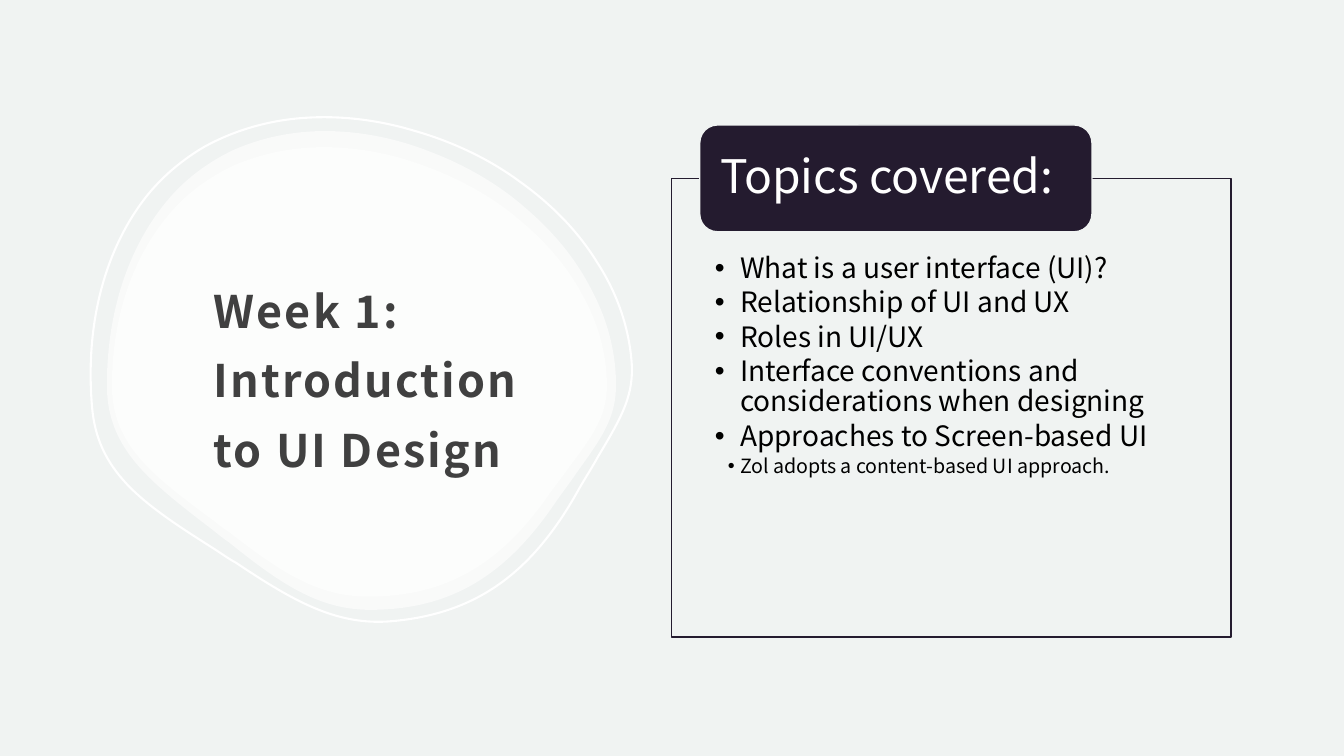
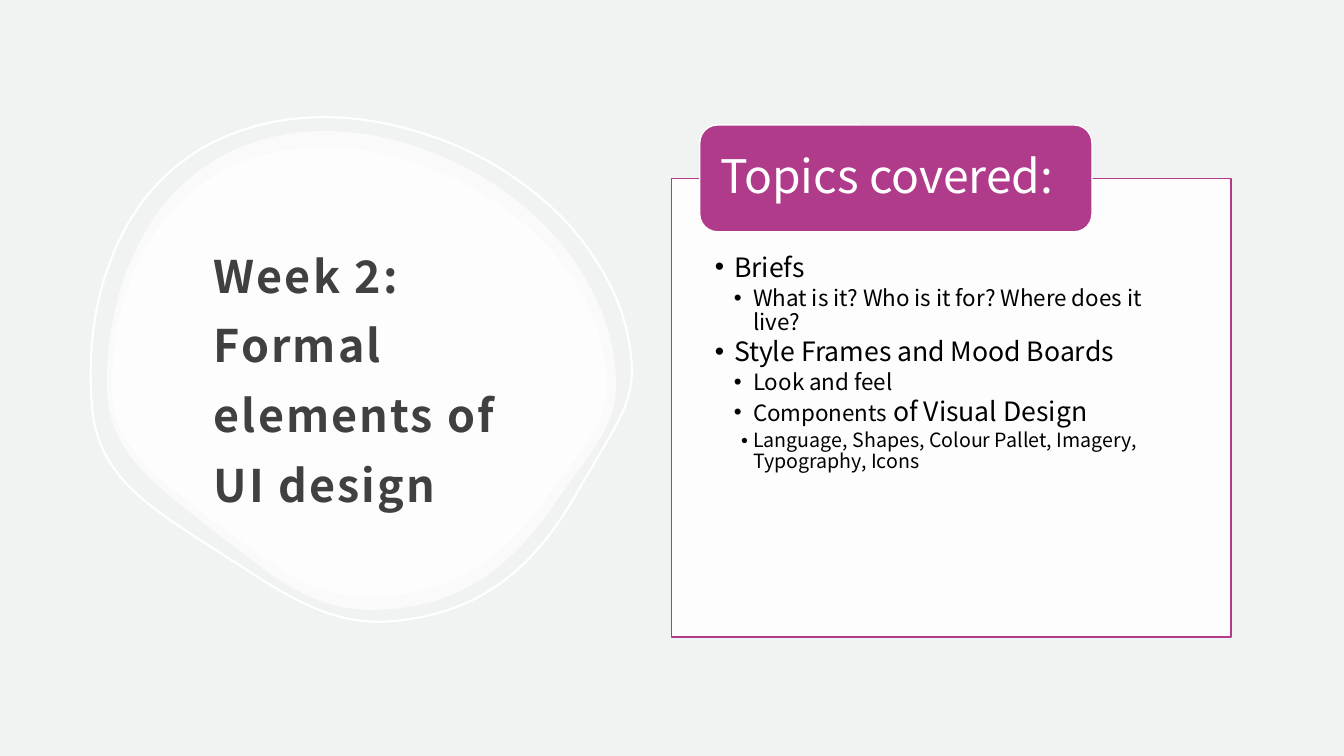
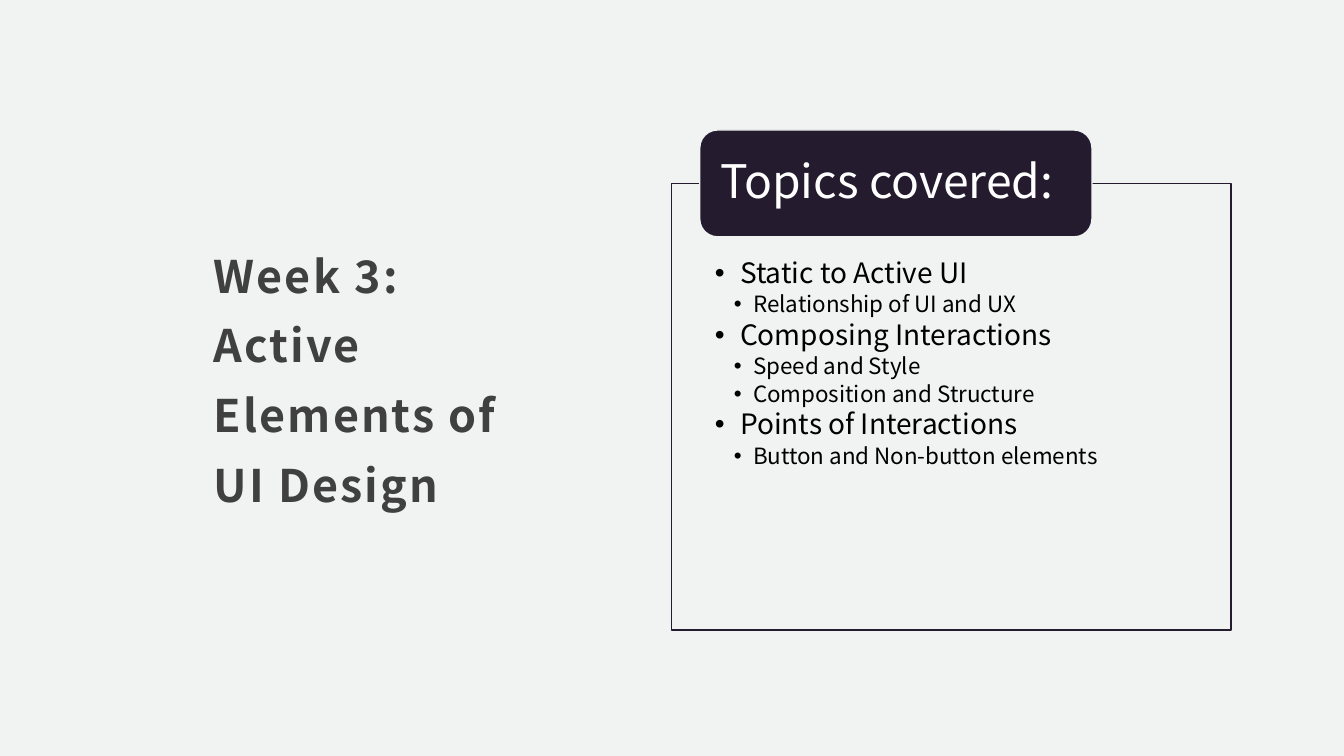
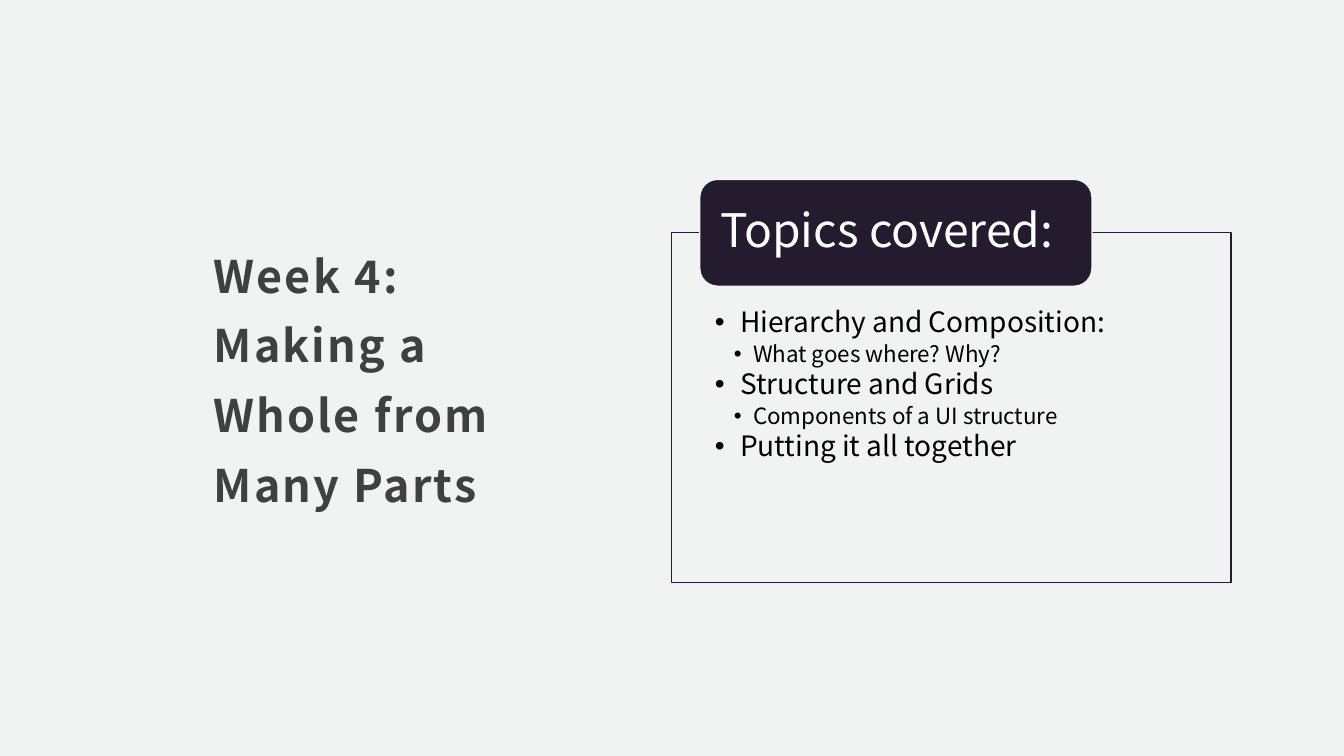
from lxml import etree
from pptx import Presentation, util as u
from pptx.dml.color import RGBColor
from pptx.enum import shapes, text
from pptx.oxml import ns

FONT = "Noto Sans CJK JP"
PALE, WHITE, BLACK = "F0F3F2", "FFFFFF", "000000"
GREY, PLUM, MAGENTA = "404040", "241B2F", "B13B8B"
PX = 9144

STYLES = {
    "topic": dict(level=0, left=25, hang=25, size=20),
    "topic_tight": dict(level=0, left=19, hang=19, size=19),
    "detail": dict(level=1, left=38, hang=19, size=16),
    "note": dict(level=1, left=25, hang=12, size=14),
    "note_deep": dict(level=2, left=38, hang=12, size=14),
}

WEEKS = [
    dict(
        title="Week 1: Introduction to UI Design",
        blob=True, accent=PLUM, paper=PALE, top=177, height=455,
        topics=[
            ("topic", "What is a user interface (UI)?"),
            ("topic", "Relationship of UI and UX"),
            ("topic", "Roles in UI/UX"),
            ("topic", "Interface conventions and considerations when designing"),
            ("topic", "Approaches to Screen-based UI"),
            ("note", "Zol adopts a content-based UI approach."),
        ],
    ),
    dict(
        title="Week 2: Formal elements of UI design",
        blob=True, accent=MAGENTA, paper=WHITE, top=177, height=455,
        topics=[
            ("topic_tight", "Briefs"),
            ("detail", "What is it? Who is it for? Where does it live?"),
            ("topic_tight", "Style Frames and Mood Boards"),
            ("detail", "Look and feel"),
            ("detail", "Components", (" of Visual Design", 19)),
            ("note_deep", "Language, Shapes, Colour Pallet, Imagery, Typography, Icons"),
        ],
    ),
    dict(
        title="Week 3: Active Elements of UI Design",
        blob=False, accent=PLUM, paper=PALE, top=182, height=443,
        topics=[
            ("topic", "Static to Active UI"),
            ("detail", "Relationship of UI and UX"),
            ("topic", "Composing Interactions"),
            ("detail", "Speed and Style"),
            ("detail", "Composition and Structure"),
            ("topic", "Points of Interactions"),
            ("detail", "Button and Non-button elements"),
        ],
    ),
    dict(
        title="Week 4: Making a Whole from Many Parts",
        blob=False, accent=PLUM, paper=PALE, top=231, height=347,
        topics=[
            ("topic", "Hierarchy and Composition:"),
            ("detail", "What goes where? Why?"),
            ("topic", "Structure and Grids"),
            ("detail", "Components of a UI structure"),
            ("topic", "Putting it all together"),
        ],
    ),
]

BLOB_START = (216, 0)
BLOB_CURVES = [
    ((183, 0), (152, 7), (125, 19)),
    ((100, 31), (77, 48), (59, 70)),
    ((21, 116), (0, 180), (0, 252)),
    ((0, 280), (8, 303), (26, 326)),
    ((45, 350), (74, 372), (104, 395)),
    ((109, 399), (115, 404), (121, 408)),
    ((172, 449), (210, 475), (261, 475)),
    ((339, 475), (395, 443), (446, 367)),
    ((453, 357), (460, 348), (466, 339)),
    ((492, 303), (505, 284), (505, 252)),
    ((505, 220), (497, 188), (481, 158)),
    ((466, 128), (444, 101), (416, 77)),
    ((389, 53), (356, 34), (322, 21)),
    ((287, 7), (251, 0), BLOB_START),
]
BLOB_LAYERS = [
    dict(box=(106, 130, 505, 475), rotation=0, filled=True),
    dict(box=(111, 146, 491, 446), rotation=0, filled=True),
    dict(box=(89, 113, 537, 505), rotation=355, filled=False),
]


def px(*lengths):
    return [u.Emu(length * PX) for length in lengths]


def rgb(color):
    return RGBColor.from_string(color)


def paint(shape, fill=None, opacity=100, line=None, width=1):
    shape.shadow.inherit = False
    if fill:
        shape.fill.solid()
        shape.fill.fore_color.rgb = rgb(fill)
        if opacity < 100:
            color = shape.element.spPr.find(ns.qn("a:solidFill") + "/" + ns.qn("a:srgbClr"))
            etree.SubElement(color, ns.qn("a:alpha"), val=str(opacity * 1000))
    else:
        shape.fill.background()
    if line:
        shape.line.color.rgb = rgb(line)
        shape.line.width = u.Pt(width)
    else:
        shape.line.fill.background()


def set_frame(frame, insets, anchor):
    frame.word_wrap = True
    frame.auto_size = text.MSO_AUTO_SIZE.NONE
    frame.vertical_anchor = anchor
    (frame.margin_left, frame.margin_top,
     frame.margin_right, frame.margin_bottom) = px(*insets)


def style_paragraph(paragraph, size, color, spacing=0.9):
    paragraph.alignment = text.PP_ALIGN.LEFT
    paragraph.line_spacing = spacing
    for run in paragraph.runs:
        run.font.name = FONT
        run.font.size = u.Pt(size)
        run.font.color.rgb = rgb(color)


def add_bullet(paragraph, left, hang):
    properties = paragraph._p.get_or_add_pPr()
    properties.set("marL", str(left * PX))
    properties.set("indent", str(-hang * PX))
    etree.SubElement(properties, ns.qn("a:buFont"), typeface="Arial")
    etree.SubElement(properties, ns.qn("a:buChar"), char="•")


def bend_segments(shape):
    segments = list(shape.element.iter(ns.qn("a:lnTo")))
    for first in range(0, len(segments), 3):
        curve = etree.Element(ns.qn("a:cubicBezTo"))
        segments[first].addprevious(curve)
        for segment in segments[first:first + 3]:
            curve.append(segment[0])
            segment.getparent().remove(segment)


def add_blob(slide):
    points = [point for curve in BLOB_CURVES for point in curve]
    for layer in BLOB_LAYERS:
        builder = slide.shapes.build_freeform(*BLOB_START, scale=PX)
        builder.add_line_segments(points, close=True)
        blob = builder.convert_to_shape()
        bend_segments(blob)
        blob.left, blob.top, blob.width, blob.height = px(*layer["box"])
        blob.rotation = layer["rotation"]
        if layer["filled"]:
            paint(blob, fill=WHITE, opacity=60)
        else:
            paint(blob, line=WHITE, width=1.5)
        slide.shapes.title.element.addprevious(blob.element)


def set_title(slide, words):
    title = slide.shapes.title
    title.left, title.top, title.width, title.height = px(200, 208, 362, 320)
    title.text_frame.text = words
    set_frame(title.text_frame, (12, 12, 12, 10), text.MSO_ANCHOR.MIDDLE)
    paragraph = title.text_frame.paragraphs[0]
    style_paragraph(paragraph, 32, GREY, 1.3)
    for run in paragraph.runs:
        run.font.bold = True
        run.font._element.set("spc", "150")


def add_topics(frame, topics):
    for index, (style_name, words, *tails) in enumerate(topics):
        style = STYLES[style_name]
        paragraph = frame.add_paragraph() if index else frame.paragraphs[0]
        paragraph.text = words
        for tail, size in tails:
            paragraph.add_run().text = tail
        paragraph.level = style["level"]
        paragraph.space_after = u.Pt(style["size"] * 0.15)
        style_paragraph(paragraph, style["size"], BLACK)
        for run, (tail, size) in zip(paragraph.runs[1:], tails):
            run.font.size = u.Pt(size)
        add_bullet(paragraph, style["left"], style["hang"])


def add_panel(slide, week):
    top, accent, paper = week["top"], week["accent"], week["paper"]
    panel = slide.shapes.add_shape(
        shapes.MSO_SHAPE.RECTANGLE, *px(666, top, 555, week["height"]))
    paint(panel, paper, 90, accent)
    set_frame(panel.text_frame, (43, 75, 43, 12), text.MSO_ANCHOR.TOP)
    add_topics(panel.text_frame, week["topics"])

    heading = slide.shapes.add_shape(
        shapes.MSO_SHAPE.ROUNDED_RECTANGLE, *px(694, top - 53, 389, 106))
    paint(heading, accent, line=paper)
    heading.text_frame.text = "Topics covered:"
    set_frame(heading.text_frame, (15, 0, 15, 0), text.MSO_ANCHOR.MIDDLE)
    style_paragraph(heading.text_frame.paragraphs[0], 33, WHITE)


def main():
    presentation = Presentation()
    presentation.slide_width, presentation.slide_height = px(1333, 750)
    background = presentation.slide_master.background.fill
    background.solid()
    background.fore_color.rgb = rgb(PALE)
    for week in WEEKS:
        slide = presentation.slides.add_slide(presentation.slide_layouts[5])
        set_title(slide, week["title"])
        if week["blob"]:
            add_blob(slide)
        add_panel(slide, week)
    presentation.save("out.pptx")


if __name__ == "__main__":
    main()
